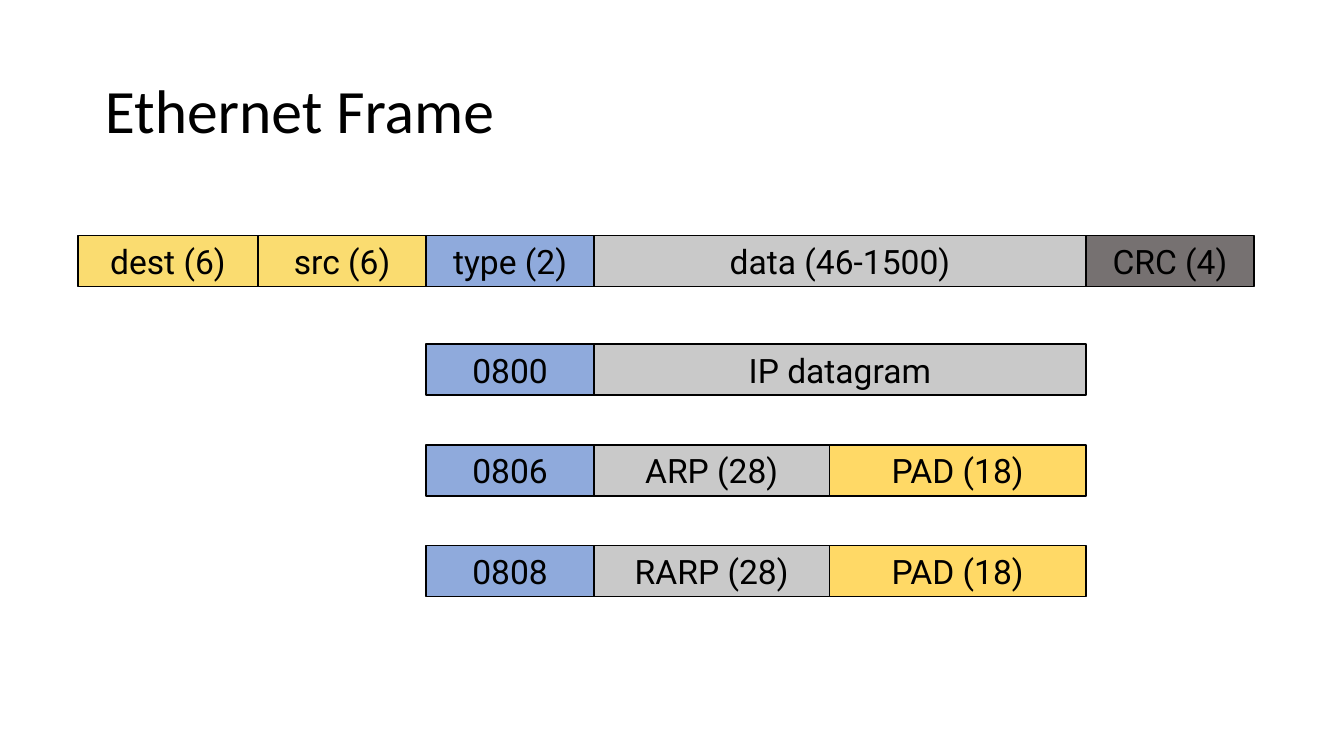
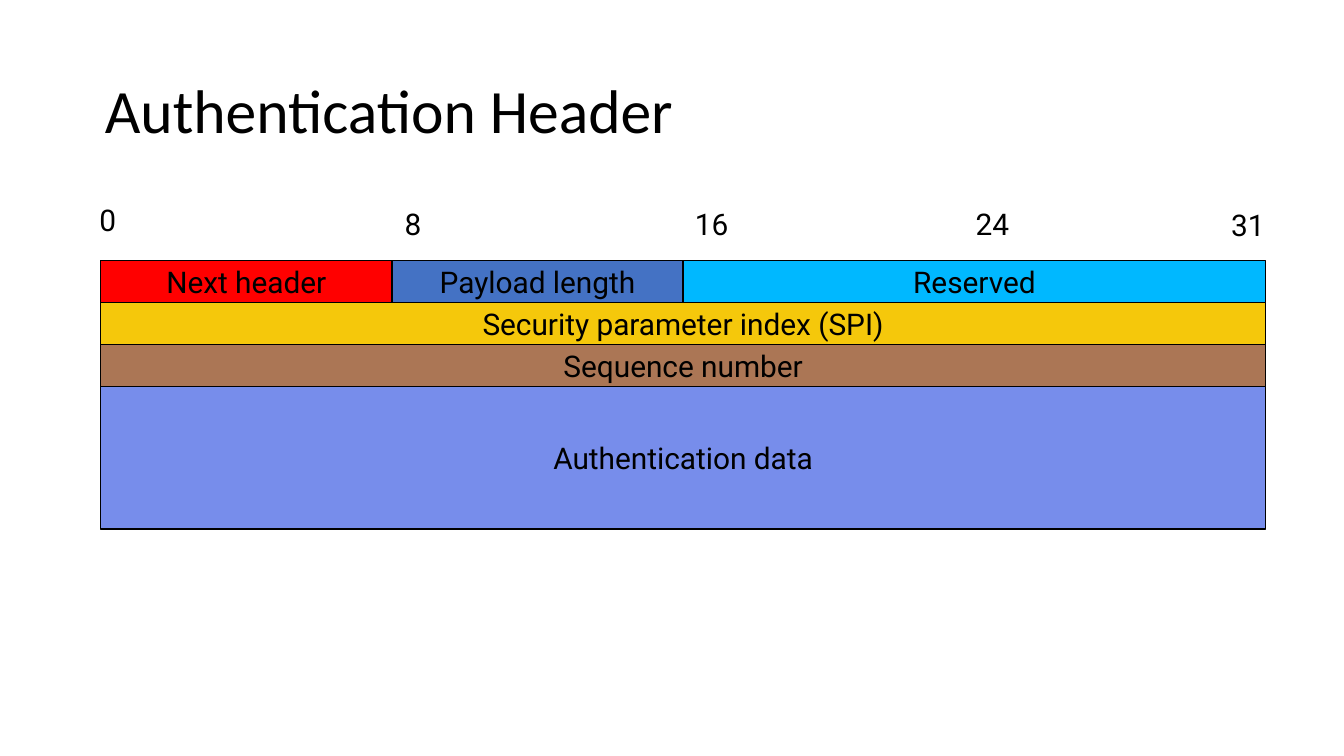
from pptx import Presentation
from pptx.dml.color import RGBColor
from pptx.enum.shapes import MSO_SHAPE
from pptx.enum.text import MSO_ANCHOR, MSO_AUTO_SIZE, PP_ALIGN
from pptx.util import Inches, Pt

RECTANGLE = MSO_SHAPE.RECTANGLE
MIDDLE, TOP = MSO_ANCHOR.MIDDLE, MSO_ANCHOR.TOP
LEFT, CENTER = PP_ALIGN.LEFT, PP_ALIGN.CENTER
FIT_SHAPE = MSO_AUTO_SIZE.SHAPE_TO_FIT_TEXT
NO_FIT = MSO_AUTO_SIZE.NONE
TITLE_ONLY = 5
TITLE_FONT, BODY_FONT = "Calibri", "Roboto"

COLORS = {
    "black": "000000",
    "address": "FADC70",
    "type": "8FAADC",
    "data": "C9C9C9",
    "crc": "767171",
    "pad": "FFD966",
    "next": "FF0000",
    "length": "4472C4",
    "reserved": "00B8FF",
    "index": "F5C80B",
    "sequence": "AB7655",
    "authentication": "778DEB",
}


def write_text(shape, text, size, font=BODY_FONT, align=LEFT, anchor=MIDDLE,
               wrap=False, fit=NO_FIT):
    """Set the text of a shape as one formatted run."""
    frame = shape.text_frame
    frame.word_wrap = wrap
    frame.auto_size = fit
    frame.vertical_anchor = anchor
    frame.margin_left = frame.margin_right = Inches(0.09)
    frame.margin_top = frame.margin_bottom = Inches(0.04)
    paragraph = frame.paragraphs[0]
    paragraph.alignment = align
    run = paragraph.add_run()
    run.text = text
    run.font.name = font
    run.font.size = Pt(size)
    run.font.color.rgb = RGBColor.from_string(COLORS["black"])


def add_field(slide, text, color, left, top, width, height, size):
    """Draw one outlined field of a packet layout."""
    shape = slide.shapes.add_shape(
        RECTANGLE, Inches(left), Inches(top), Inches(width), Inches(height))
    shape.shadow.inherit = False
    shape.fill.solid()
    shape.fill.fore_color.rgb = RGBColor.from_string(COLORS[color])
    shape.line.color.rgb = RGBColor.from_string(COLORS["black"])
    shape.line.width = Pt(0.75)
    write_text(shape, text, size, align=CENTER)


# Widescreen 16:9 page
presentation = Presentation()
presentation.slide_width = Inches(10)
presentation.slide_height = Inches(10 * 9 / 16)

# Slides with their titles
slides = []
for title_text in ("Ethernet Frame", "Authentication Header"):
    slide = presentation.slides.add_slide(
        presentation.slide_layouts[TITLE_ONLY])
    title = slide.shapes.title
    title.left, title.top = Inches(0.69), Inches(0.3)
    title.width, title.height = Inches(8.62), Inches(1.09)
    write_text(title, title_text, 33, TITLE_FONT, wrap=True)
    title.text_frame.paragraphs[0].line_spacing = 0.9
    slides.append(slide)
frame_slide, header_slide = slides

# Ethernet frame: each row is a top and its fields (text, color, left, right)
DEST, SRC, TYPE, DATA, PAD, CRC, END = 0.58, 1.92, 3.17, 4.42, 6.17, 8.08, 9.33
frame_rows = [
    (1.75, [("dest (6)", "address", DEST, SRC),
            ("src (6)", "address", SRC, TYPE),
            ("type (2)", "type", TYPE, DATA),
            ("data (46-1500)", "data", DATA, CRC),
            ("CRC (4)", "crc", CRC, END)]),
    (2.56, [("0800", "type", TYPE, DATA),
            ("IP datagram", "data", DATA, CRC)]),
    (3.31, [("0806", "type", TYPE, DATA),
            ("ARP (28)", "data", DATA, PAD),
            ("PAD (18)", "pad", PAD, CRC)]),
    (4.06, [("0808", "type", TYPE, DATA),
            ("RARP (28)", "data", DATA, PAD),
            ("PAD (18)", "pad", PAD, CRC)]),
]
for top, fields in frame_rows:
    for text, color, left, right in fields:
        add_field(frame_slide, text, color, left, top, right - left, 0.38, 18)

# Authentication header: fields are measured in bits of a 32-bit word
HEADER_LEFT, HEADER_TOP = 0.75, 1.94
BIT_WIDTH = 6.5 / 24
ROW_HEIGHT = 5 / 16
header_rows = [
    (ROW_HEIGHT, [("Next header", "next", 8),
                  ("Payload length", "length", 8),
                  ("Reserved", "reserved", 16)]),
    (ROW_HEIGHT, [("Security parameter index (SPI)", "index", 32)]),
    (ROW_HEIGHT, [("Sequence number", "sequence", 32)]),
    (1.06, [("Authentication data", "authentication", 32)]),
]
top = HEADER_TOP
for height, fields in header_rows:
    left = HEADER_LEFT
    for text, color, bits in fields:
        width = bits * BIT_WIDTH
        add_field(header_slide, text, color, left, top, width, height, 16)
        left += width
    top += height

# Bit positions above the header
bit_labels = [("0", 0.65, 1.46, 0.3), ("8", 2.92, 1.49, 0.3),
              ("16", 5.08, 1.49, 0.43), ("24", 7.17, 1.49, 0.43),
              ("31", 9.07, 1.5, 0.43)]
for text, left, top, width in bit_labels:
    label = header_slide.shapes.add_textbox(
        Inches(left), Inches(top), Inches(width), Inches(0.36))
    write_text(label, text, 16, anchor=TOP, fit=FIT_SHAPE)

presentation.save("out.pptx")
